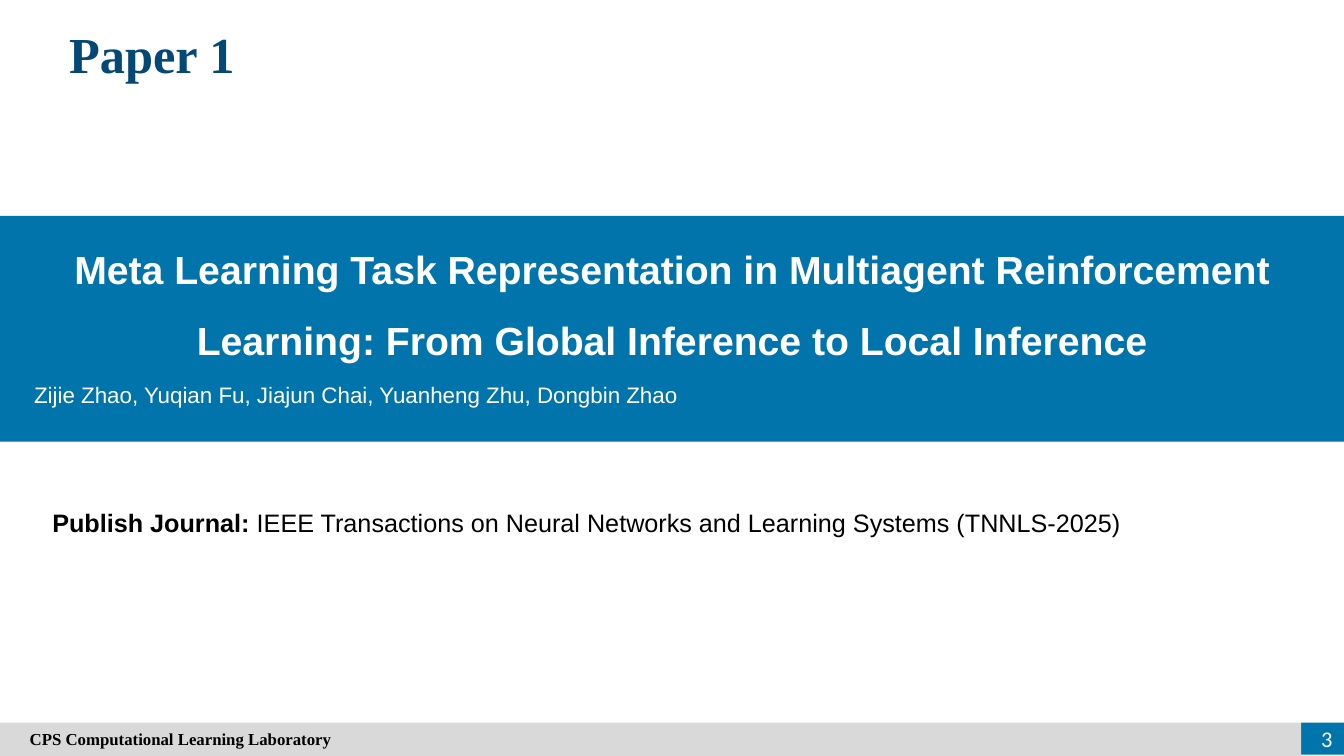
from dataclasses import dataclass

from pptx import Presentation
from pptx import util as u
from pptx.dml.color import RGBColor
from pptx.enum import shapes, text
from pptx.slide import Slide

COLORS = {
    "white": "FFFFFF",
    "black": "000000",
    "blue": "0174AB",
    "navy": "044875",
    "grey": "D9D9D9",
}
SLIDE_WIDTH = 33.87
SLIDE_HEIGHT = 19.05
FOOTER_TOP = 18.21
FOOTER_WIDTH = 32.79


@dataclass(frozen=True)
class Box:
    """A place on the slide, in centimetres."""
    left: float
    top: float
    width: float
    height: float

    def lengths(self) -> tuple[u.Length, ...]:
        return tuple(u.Cm(n) for n in (self.left, self.top, self.width, self.height))


@dataclass(frozen=True)
class Bar:
    box: Box
    color: str


BARS = [
    Bar(Box(0, 5.44, SLIDE_WIDTH, 5.69), "blue"),
    Bar(Box(FOOTER_WIDTH, FOOTER_TOP, SLIDE_WIDTH - FOOTER_WIDTH, 0.81), "blue"),
    Bar(Box(0, FOOTER_TOP, FOOTER_WIDTH, SLIDE_HEIGHT - FOOTER_TOP), "grey"),
]


def add_bar(slide: Slide, bar: Bar) -> None:
    shape = slide.shapes.add_shape(shapes.MSO_SHAPE.RECTANGLE, *bar.box.lengths())
    shape.shadow.inherit = False
    shape.fill.solid()
    shape.fill.fore_color.rgb = RGBColor.from_string(COLORS[bar.color])
    shape.line.fill.background()


def add_text(
    slide: Slide,
    box: Box,
    content: str,
    *,
    size: float,
    color: str,
    bold_lead: str = "",
    bold: bool = False,
    font: str = "Arial",
    align: text.PP_ALIGN = text.PP_ALIGN.LEFT,
    anchor: text.MSO_ANCHOR = text.MSO_ANCHOR.TOP,
    line_spacing: float = 1.0,
) -> None:
    """Add a one-paragraph text box, with an optional bold lead-in."""
    frame = slide.shapes.add_textbox(*box.lengths()).text_frame
    frame.word_wrap = True
    frame.vertical_anchor = anchor
    paragraph = frame.paragraphs[0]
    paragraph.alignment = align
    paragraph.line_spacing = line_spacing
    for words, is_bold in ((bold_lead, True), (content, bold)):
        if words:
            run = paragraph.add_run()
            run.text = words
            run.font.name = font
            run.font.size = u.Pt(size)
            run.font.bold = is_bold
            run.font.color.rgb = RGBColor.from_string(COLORS[color])


def main() -> None:
    presentation = Presentation()
    presentation.slide_width = u.Cm(SLIDE_WIDTH)
    presentation.slide_height = u.Cm(SLIDE_HEIGHT)
    slide = presentation.slides.add_slide(presentation.slide_layouts[6])

    for bar in BARS:
        add_bar(slide, bar)

    add_text(slide, Box(0.97, 0.46, 5.72, 1.8), "Paper 1",
             size=36, color="navy", bold=True, font="Times New Roman",
             align=text.PP_ALIGN.CENTER)
    add_text(slide, Box(0, 5.56, SLIDE_WIDTH, 3.63),
             "Meta Learning Task Representation in Multiagent Reinforcement "
             "Learning: From Global Inference to Local Inference",
             size=28, color="white", bold=True, align=text.PP_ALIGN.CENTER,
             anchor=text.MSO_ANCHOR.MIDDLE, line_spacing=1.5)
    add_text(slide, Box(0.61, 9.47, 32.5, 0.94),
             "Zijie Zhao, Yuqian Fu, Jiajun Chai, Yuanheng Zhu, Dongbin Zhao",
             size=16, color="white")
    add_text(slide, Box(1.07, 12.65, 29.06, 1.02),
             " IEEE Transactions on Neural Networks and Learning Systems (TNNLS-2025)",
             size=18, color="black", bold_lead="Publish Journal:")
    add_text(slide, Box(0.5, FOOTER_TOP, 32, SLIDE_HEIGHT - FOOTER_TOP),
             "CPS Computational Learning Laboratory",
             size=12, color="black", bold=True, font="Times New Roman",
             anchor=text.MSO_ANCHOR.MIDDLE)
    add_text(slide, Box(32.23, 18.11, 1.6, 1.02), "3",
             size=16, color="white", font="Calibri",
             align=text.PP_ALIGN.RIGHT, anchor=text.MSO_ANCHOR.MIDDLE)

    presentation.save("out.pptx")


if __name__ == "__main__":
    main()
